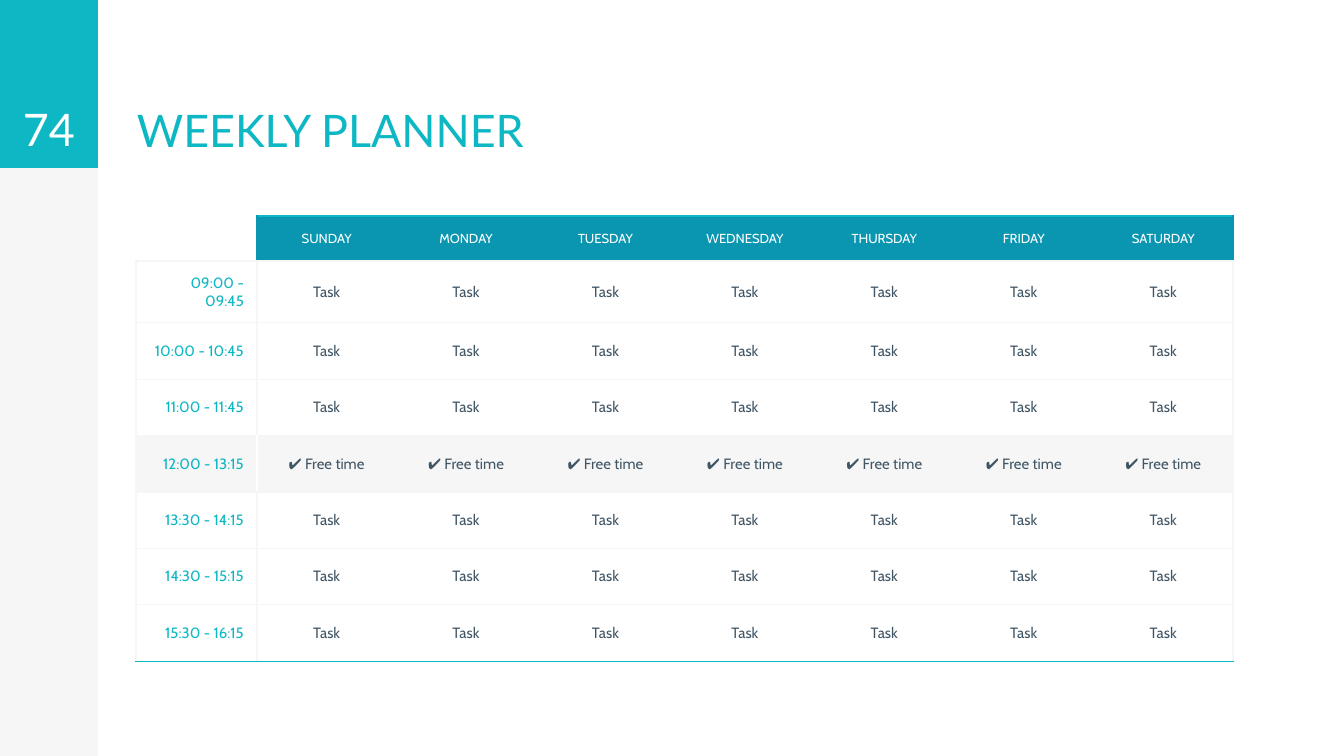
"""Build the weekly planner slide: a side band, a title and a timetable."""
from dataclasses import dataclass
from typing import Optional

from lxml import etree
from pptx import Presentation
from pptx.dml.color import RGBColor
from pptx.enum.shapes import MSO_SHAPE
from pptx.enum.text import MSO_ANCHOR, PP_ALIGN
from pptx.oxml.ns import qn
from pptx.util import Emu, Pt

RECT = MSO_SHAPE.RECTANGLE
BOTTOM, MIDDLE = MSO_ANCHOR.BOTTOM, MSO_ANCHOR.MIDDLE
LEFT, CENTER, RIGHT = PP_ALIGN.LEFT, PP_ALIGN.CENTER, PP_ALIGN.RIGHT

SCALE = 914400 / 134.4
INSET = 13
COLORS = {
    "white": "FFFFFF",
    "pale": "F6F6F6",
    "teal": "0DB7C4",
    "header": "0A95B0",
    "body": "415665",
}
DAYS = ["SUNDAY", "MONDAY", "TUESDAY", "WEDNESDAY", "THURSDAY", "FRIDAY", "SATURDAY"]
HOURS = ["09:00 - 09:45", "10:00 - 10:45", "11:00 - 11:45", "12:00 - 13:15",
         "13:30 - 14:15", "14:30 - 15:15", "15:30 - 16:15"]
BREAK = "12:00 - 13:15"
TABLE_X, TABLE_Y, TABLE_W = 136, 216, 1097
HOUR_W, HEADER_H, ROWS_H = 121, 45, 395


@dataclass
class Box:
    x: int
    y: int
    w: int
    h: int


@dataclass
class Band:
    box: Box
    color: str


@dataclass
class Label:
    box: Box
    text: str
    color: str
    align: PP_ALIGN


@dataclass
class CellStyle:
    text: str
    size: int
    color: str
    align: PP_ALIGN
    fill: Optional[str]
    borders: dict[str, str]


BANDS = [Band(Box(0, 0, 98, 756), "pale"), Band(Box(0, 0, 98, 168), "teal")]
LABELS = [
    Label(Box(124, 1, 523, 168), "WEEKLY PLANNER", "teal", LEFT),
    Label(Box(0, 0, 98, 168), "74", "white", CENTER),
]


def px(n: float) -> Emu:
    """Turn pixels into EMU."""
    return Emu(round(n * SCALE))


def rgb(name: str) -> RGBColor:
    """Look up a named colour."""
    return RGBColor.from_string(COLORS[name])


def place(box: Box) -> tuple[Emu, Emu, Emu, Emu]:
    """Return the position and size of a box in EMU."""
    return px(box.x), px(box.y), px(box.w), px(box.h)


def set_insets(target, n: int) -> None:
    """Give a text frame or a cell equal margins."""
    target.margin_left = target.margin_right = px(n)
    target.margin_top = target.margin_bottom = px(n)


def set_text(tf, text: str, font: str, size: int, color: str, align: PP_ALIGN) -> None:
    """Write one formatted paragraph."""
    tf.text = text
    p = tf.paragraphs[0]
    p.alignment = align
    for r in p.runs:
        r.font.name, r.font.size = font, Pt(size)
        r.font.color.rgb = rgb(color)


def draw_band(s, band: Band) -> None:
    """Draw a plain filled rectangle."""
    sp = s.shapes.add_shape(RECT, *place(band.box))
    sp.shadow.inherit = False
    sp.fill.solid()
    sp.fill.fore_color.rgb = rgb(band.color)
    sp.line.fill.background()


def draw_label(s, label: Label) -> None:
    """Draw a large bottom-anchored text."""
    tf = s.shapes.add_textbox(*place(label.box)).text_frame
    tf.word_wrap = True
    tf.vertical_anchor = BOTTOM
    set_insets(tf, INSET)
    set_text(tf, label.text, "Lato", 24, label.color, label.align)


def set_borders(cell, borders: dict[str, str]) -> None:
    """Draw the named sides of a cell and clear the others."""
    tc_pr = cell._tc.get_or_add_tcPr()
    for side in "LRTB":
        ln = etree.SubElement(tc_pr, qn(f"a:ln{side}"), w=str(Pt(0.75)))
        if side in borders:
            fill = etree.SubElement(ln, qn("a:solidFill"))
            etree.SubElement(fill, qn("a:srgbClr"), val=COLORS[borders[side]])
        else:
            etree.SubElement(ln, qn("a:noFill"))


def cell_style(row: int, col: int) -> CellStyle:
    """Work out the look of a cell from its place in the grid."""
    if row == 0:
        if col == 0:
            return CellStyle("", 7, "white", CENTER, None, {"R": "header", "B": "pale"})
        borders = {"T": "teal", "B": "pale"}
        if col == 1:
            borders["L"] = "header"
        if col == len(DAYS):
            borders["R"] = "header"
        return CellStyle(DAYS[col - 1], 7, "white", CENTER, "header", borders)
    hour = HOURS[row - 1]
    free = hour == BREAK
    fill = "pale" if free else None
    divider = "white" if free else "pale"
    borders = {"T": "pale", "B": "teal" if row == len(HOURS) else "pale"}
    if col == 0:
        borders |= {"L": "pale", "R": divider}
        return CellStyle(hour, 8, "teal", RIGHT, fill, borders)
    if col == 1:
        borders["L"] = divider
    if col == len(DAYS):
        borders["R"] = "pale"
    task = "✔ Free time" if free else "Task"
    return CellStyle(task, 8, "body", CENTER, fill, borders)


def format_cell(cell, style: CellStyle) -> None:
    """Apply text, borders and fill to a cell."""
    set_insets(cell, INSET if style.text else 0)
    cell.vertical_anchor = MIDDLE
    set_text(cell.text_frame, style.text, "Cabin", style.size, style.color, style.align)
    set_borders(cell, style.borders)
    if style.fill:
        cell.fill.solid()
        cell.fill.fore_color.rgb = rgb(style.fill)
    else:
        cell.fill.background()


def draw_planner(s) -> None:
    """Draw the timetable of hours by days."""
    rows, cols = len(HOURS) + 1, len(DAYS) + 1
    box = Box(TABLE_X, TABLE_Y, TABLE_W, HEADER_H + ROWS_H)
    table = s.shapes.add_table(rows, cols, *place(box)).table
    table.first_row = table.horz_banding = False
    for i, column in enumerate(table.columns):
        column.width = px((TABLE_W - HOUR_W) / len(DAYS) if i else HOUR_W)
    for i, row in enumerate(table.rows):
        row.height = px(ROWS_H / len(HOURS) if i else HEADER_H)
        for j, cell in enumerate(row.cells):
            format_cell(cell, cell_style(i, j))


def main() -> None:
    """Build and save the slide."""
    prs = Presentation()
    prs.slide_width, prs.slide_height = px(1344), px(756)
    s = prs.slides.add_slide(prs.slide_layouts[6])
    for band in BANDS:
        draw_band(s, band)
    for label in LABELS:
        draw_label(s, label)
    draw_planner(s)
    prs.save("out.pptx")


if __name__ == "__main__":
    main()
